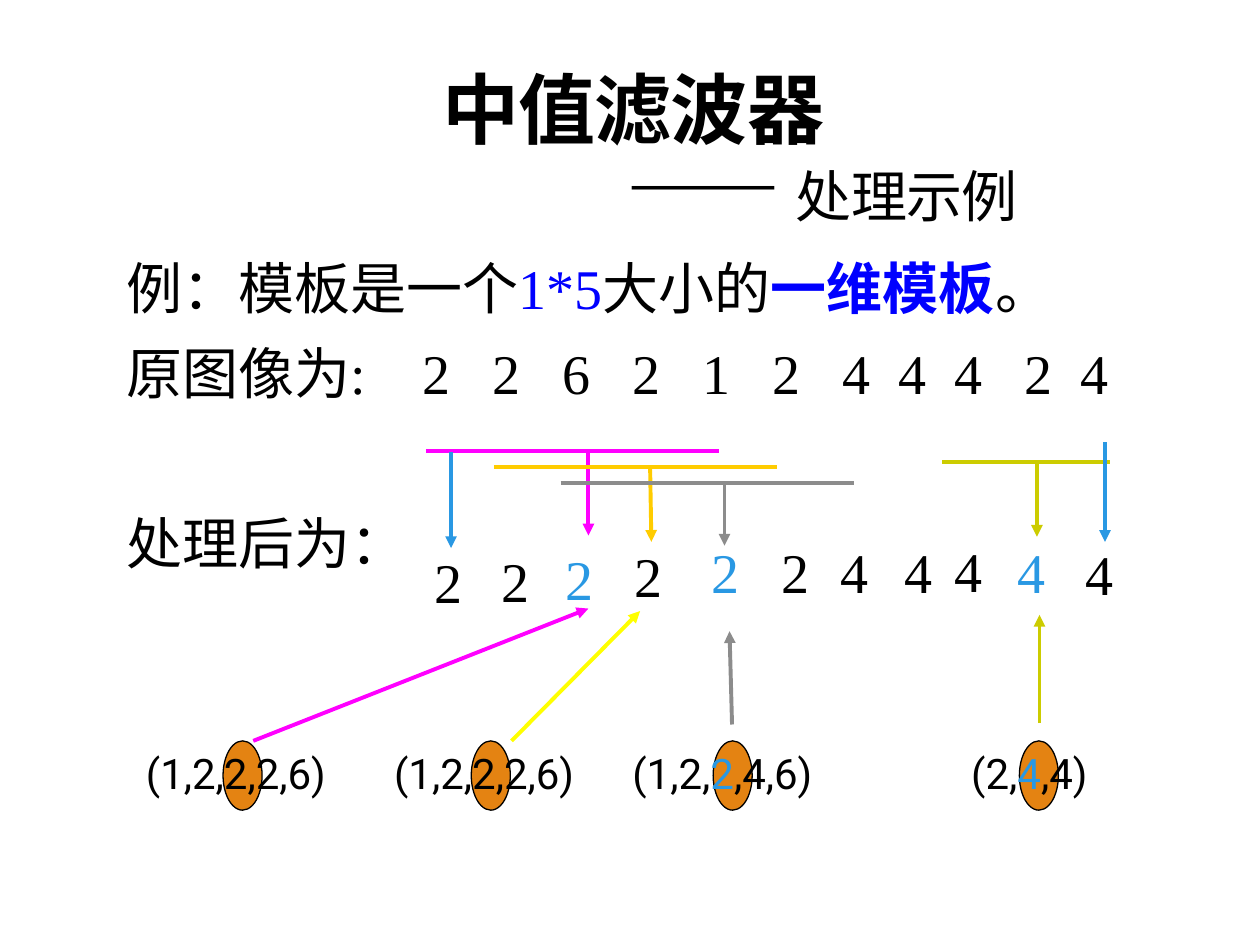
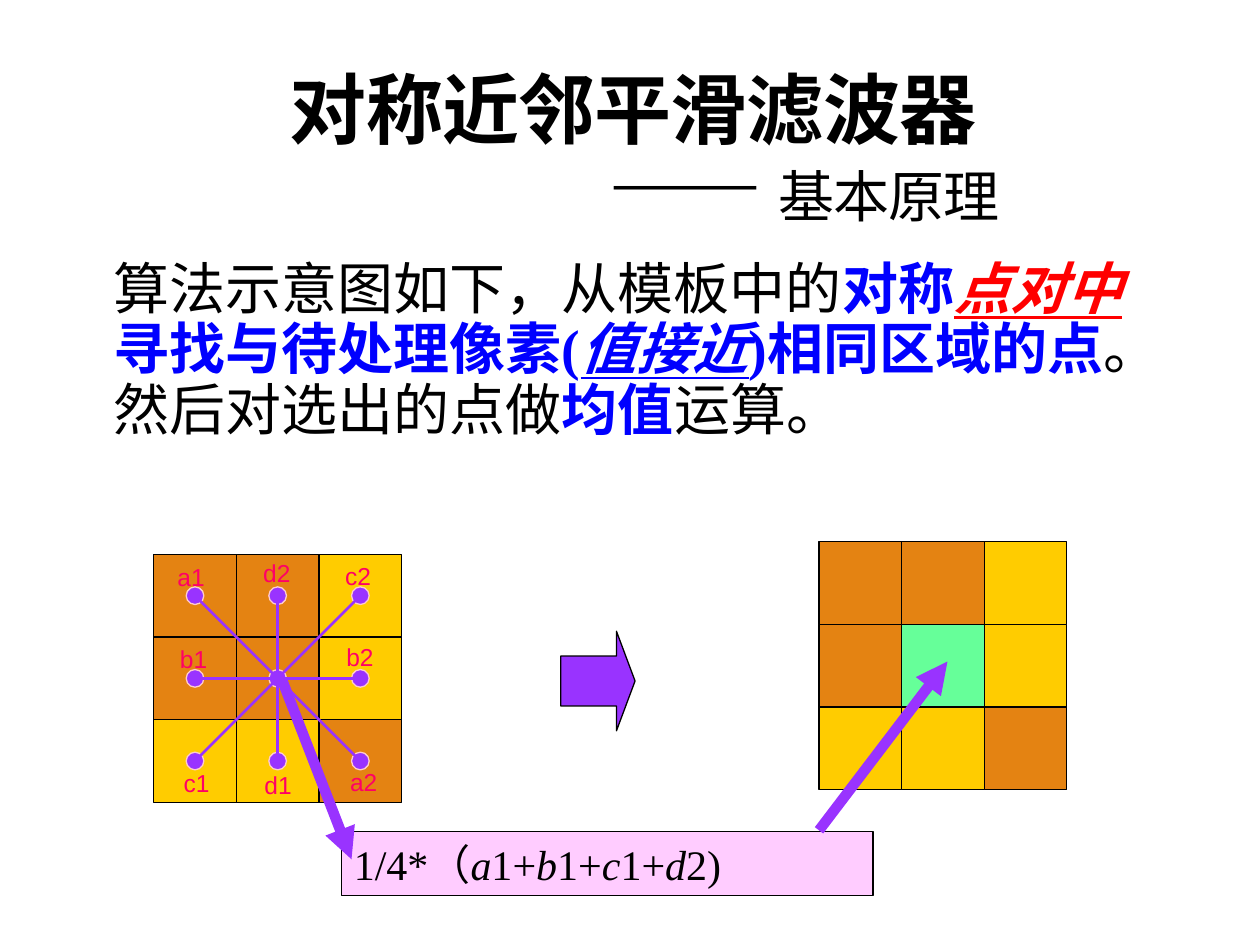
"""Build two slides on the median filter and the symmetric nearest-neighbour filter."""
from dataclasses import dataclass
from itertools import accumulate
from typing import NamedTuple

from lxml.etree import SubElement
from pptx import Presentation
from pptx.dml.color import RGBColor
from pptx.enum.shapes import MSO_CONNECTOR, MSO_SHAPE
from pptx.enum.text import MSO_ANCHOR, PP_ALIGN
from pptx.oxml.ns import qn
from pptx.util import Inches, Length, Pt

COLORS = {
    "black": "000000", "blue": "0000FF", "red": "FF0000", "orange": "E48312",
    "magenta": "FF00FF", "gold": "FFCC00", "yellow": "FFFF00", "gray": "8C8C8C",
    "sky": "2998E3", "olive": "CCCC00", "purple": "9933FF", "pink": "FFCCFF",
    "blush": "FFCCCC", "green": "66FF99", "rose": "FF0066",
}
COLUMNS, ROWS = 100, 75
SERIF, SANS, LABEL = "Times New Roman", "Roboto", "Arial"
MATRIX_CELL = 6.56


class Area(NamedTuple):
    left: float
    top: float
    width: float
    height: float


class Point(NamedTuple):
    x: float
    y: float


@dataclass(frozen=True)
class Span:
    text: str
    color: str = "black"
    bold: bool = False
    italic: bool = False
    underline: bool = False


@dataclass(frozen=True)
class Line:
    start: Point
    end: Point
    color: str
    width: float = 2.25
    arrow: bool = True


@dataclass(frozen=True)
class Window:
    left: float
    right: float
    row: float
    color: str
    stem_start: Point
    stem_end: Point


@dataclass(frozen=True)
class SortedSet:
    area: Area
    oval_left: float
    spans: tuple[Span, ...]


@dataclass(frozen=True)
class Place:
    text: str
    left: float
    top: float
    color: str = "black"


TITLE = Area(9, 3.1, 82.5, 15.9)
BODY = Area(9, 20.2, 82.5, 44)

WINDOWS = [
    Window(33.8, 57.1, 35.8, "magenta", Point(46.7, 35.8), Point(46.7, 42.5)),
    Window(39.2, 61.7, 37.1, "gold", Point(51.6, 37.2), Point(51.7, 43)),
    Window(44.5, 67.8, 38.3, "gray", Point(57.5, 38.3), Point(57.5, 43.3)),
    Window(74.8, 88.1, 36.7, "olive", Point(82.3, 36.7), Point(82.3, 42.6)),
]
ARROWS = [
    Line(Point(20.1, 58.8), Point(46.7, 48.3), "magenta"),
    Line(Point(40.6, 58.8), Point(50.8, 48.5), "yellow"),
    Line(Point(58.1, 57.5), Point(57.9, 50.1), "gray"),
    Line(Point(82.5, 57.4), Point(82.5, 48.8), "olive"),
    Line(Point(35.8, 35.9), Point(35.8, 43.5), "sky"),
    Line(Point(87.7, 35.1), Point(87.7, 43), "sky"),
]
RESULTS = [
    Place("2", 33.5, 43), Place("2", 38.8, 42.9), Place("2", 43.9, 42.7, "sky"),
    Place("2", 49.4, 42.5), Place("2", 55.5, 42.2, "sky"), Place("2", 61, 42.2),
    Place("4", 65.7, 42.2), Place("4", 70.8, 42.2), Place("4", 74.8, 42.1),
    Place("4", 79.8, 42.2, "sky"), Place("4", 85.2, 42.3),
]
SORTED_SETS = [
    SortedSet(Area(10.6, 58.8, 18.9, 5), 17.7, (Span("(1,2,2,2,6)"),)),
    SortedSet(Area(30.3, 58.8, 18.9, 5), 37.4, (Span("(1,2,2,2,6)"),)),
    SortedSet(Area(49.2, 58.8, 18.9, 5), 56.6,
              (Span("(1,2,"), Span("2", "sky"), Span(",4,6)"))),
    SortedSet(Area(76.1, 58.8, 13.4, 5), 80.9,
              (Span("(2,"), Span("4", "sky"), Span(",4)"))),
]
PAIR_LABELS = [
    Place("a1", 13.1, 44.1), Place("a2", 26.8, 60.4), Place("b1", 13.3, 50.6),
    Place("b2", 26.5, 50.5), Place("c1", 13.6, 60.5), Place("c2", 26.4, 44),
    Place("d1", 20, 60.6), Place("d2", 19.9, 43.8),
]
MATRIX_COLORS = {"O": "orange", "Y": "gold", "G": "green"}


def grid(units: float) -> Length:
    """Turn grid columns or rows into a length."""
    return Inches(units * 10 / COLUMNS)


def rgb(name: str) -> RGBColor:
    """Look up a named colour."""
    return RGBColor.from_string(COLORS[name])


def add_span(para, text: str, *, size: float = 32, font: str = SERIF, color: str = "black",
             bold: bool = False, italic: bool = False, underline: bool = False,
             spacing: int = 0) -> None:
    """Append formatted text to a paragraph."""
    run = para.add_run()
    run.text = text
    run.font.size = Pt(size)
    run.font.name = font
    run.font.color.rgb = rgb(color)
    run.font.bold, run.font.italic, run.font.underline = bold, italic, underline
    if spacing:
        run.font._element.set("spc", str(spacing))


def add_spans(para, spans, *, size: float = 32, font: str = SERIF) -> None:
    """Append a sequence of spans in one font and size."""
    for span in spans:
        add_span(para, span.text, size=size, font=font, color=span.color, bold=span.bold,
                 italic=span.italic, underline=span.underline)


def add_box(page, area: Area, *, side_inset: float = 1):
    """Add a wrapping text box and return its text frame."""
    frame = page.shapes.add_textbox(*map(grid, area)).text_frame
    frame.word_wrap = True
    frame.margin_left = frame.margin_right = grid(side_inset)
    return frame


def add_title(page, title: str, subtitle: str, indent: float) -> None:
    """Add the centred title and the indented subtitle after a dash."""
    frame = add_box(page, TITLE)
    frame.vertical_anchor = MSO_ANCHOR.BOTTOM
    heading, second = frame.paragraphs[0], frame.add_paragraph()
    heading.alignment, second.alignment = PP_ALIGN.CENTER, PP_ALIGN.LEFT
    second._p.get_or_add_pPr().set("marL", str(grid(indent)))
    heading.line_spacing = second.line_spacing = 0.85
    add_span(heading, title, size=44, bold=True, spacing=-50)
    add_span(second, "—— ", size=44, bold=True, spacing=-50)
    add_span(second, subtitle, spacing=-50)


def add_figure(page, kind, area: Area, fill: str, line: str = "black"):
    """Add a filled and outlined preset shape."""
    shape = page.shapes.add_shape(kind, *map(grid, area))
    shape.shadow.inherit = False
    shape.fill.solid()
    shape.fill.fore_color.rgb = rgb(fill)
    shape.line.color.rgb = rgb(line)
    shape.line.width = Pt(0.75)
    return shape


def add_line(page, line: Line) -> None:
    """Add a straight line, with an arrowhead where asked."""
    connector = page.shapes.add_connector(
        MSO_CONNECTOR.STRAIGHT, *map(grid, (*line.start, *line.end)))
    connector.line.color.rgb = rgb(line.color)
    connector.line.width = Pt(line.width)
    if line.arrow:
        SubElement(connector.line._get_or_add_ln(), qn("a:tailEnd"), type="triangle")
    SubElement(connector._element.spPr, qn("a:effectLst"))


def add_tabs(para, stops) -> None:
    """Set left tab stops on a paragraph."""
    tabs = SubElement(para._p.get_or_add_pPr(), qn("a:tabLst"))
    for stop in stops:
        SubElement(tabs, qn("a:tab"), pos=str(grid(stop)), algn="l")


def add_matrix(page, left: float, top: float, pattern: tuple[str, ...]) -> None:
    """Add a square of coloured cells."""
    for row, codes in enumerate(pattern):
        for column, code in enumerate(codes):
            area = Area(left + column * MATRIX_CELL, top + row * MATRIX_CELL,
                        MATRIX_CELL, MATRIX_CELL)
            add_figure(page, MSO_SHAPE.RECTANGLE, area, MATRIX_COLORS[code])


def build_median(page) -> None:
    """Build the worked example of the median filter."""
    add_title(page, "中值滤波器", "处理示例", 39.7)
    frame = add_box(page, BODY._replace(left=BODY.left + 1, width=BODY.width - 1), side_inset=0)
    template, source, result = (frame.paragraphs[0], frame.add_paragraph(),
                                frame.add_paragraph())
    gaps = (3, 3, 3, 3, 3, 3, 2, 2, 3, 2)
    add_tabs(source, accumulate(((2 + gap) / 0.9 for gap in gaps), initial=23.5))
    for para in (template, source, result):
        para.line_spacing = 0.9
        para.space_after = Pt(2)
    source.space_before, result.space_before = Pt(12), Pt(60.5)
    add_spans(template, (Span("例：模板是一个"), Span("1*5", "blue"), Span("大小的"),
                         Span("一维模板", "blue", bold=True), Span("。")))
    add_span(source, "\t".join(("原图像为:", *"22621244424")))
    add_span(result, "处理后为：")

    for window in WINDOWS:
        add_line(page, Line(Point(window.left, window.row), Point(window.right, window.row),
                            window.color, arrow=False))
        add_line(page, Line(window.stem_start, window.stem_end, window.color))
    for arrow in ARROWS:
        add_line(page, arrow)
    for digit in RESULTS:
        para = add_box(page, Area(digit.left, digit.top, 5.5, 6.3)).paragraphs[0]
        add_span(para, digit.text, color=digit.color)
    for group in SORTED_SETS:
        add_figure(page, MSO_SHAPE.OVAL, Area(group.oval_left, 58.8, 3.1, 5.5), "orange")
        add_spans(add_box(page, group.area).paragraphs[0], group.spans, size=24, font=SANS)


def build_symmetric(page) -> None:
    """Build the principle of the symmetric nearest-neighbour filter."""
    add_title(page, "对称近邻平滑滤波器", "基本原理", 38.3)
    para = add_box(page, BODY, side_inset=0).paragraphs[0]
    para.line_spacing = 0.9
    add_spans(para, (
        Span("算法示意图如下，从模板中的"), Span("对称", "blue", bold=True),
        Span("点对中", "red", bold=True, italic=True, underline=True),
        Span("寻找与待处理像素(", "blue", bold=True),
        Span("值接近", "blue", bold=True, italic=True, underline=True),
        Span(")相同区域的点", "blue", bold=True), Span("。然后对选出的点做"),
        Span("均值", "blue", bold=True), Span("运算。")))

    arrow = add_figure(page, MSO_SHAPE.RIGHT_ARROW, Area(44.5, 50.1, 5.9, 7.9), "purple")
    arrow.adjustments[0], arrow.adjustments[1] = 0.5, 0.25
    formula = add_figure(page, MSO_SHAPE.RECTANGLE, Area(27.1, 66, 42.2, 5.1), "pink")
    formula_para = formula.text_frame.paragraphs[0]
    formula_para.alignment = PP_ALIGN.LEFT
    add_span(formula_para, "1/4*（", size=24)
    for letter, rest in (("a", "1+"), ("b", "1+"), ("c", "1+"), ("d", "2)")):
        add_spans(formula_para, (Span(letter, italic=True), Span(rest)), size=24)

    left, top = 12.2, 44
    add_matrix(page, left, top, ("OOY", "OOY", "YYO"))
    centers = [Point(left + (column + 0.5) * MATRIX_CELL, top + (row + 0.5) * MATRIX_CELL)
               for row in range(3) for column in range(3)]
    for center in centers:
        add_figure(page, MSO_SHAPE.OVAL, Area(center.x - 0.7, center.y - 0.7, 1.4, 1.4),
                   "purple", "blush")
    for start, end in zip(centers[:4], reversed(centers)):
        add_line(page, Line(start, end, "purple", 1.5, arrow=False))
    for label in PAIR_LABELS:
        para = add_box(page, Area(label.left, label.top, 5.5, 3.3)).paragraphs[0]
        add_span(para, label.text, size=14, font=LABEL, color="rose")

    add_matrix(page, 65, 43, ("OOY", "OGY", "YYO"))
    add_line(page, Line(Point(65, 65.9), Point(75.2, 52.5), "purple", 6))
    add_line(page, Line(Point(22.4, 54), Point(27.9, 68.2), "purple", 6))


def main() -> None:
    """Create the deck and save it."""
    deck = Presentation()
    deck.slide_width, deck.slide_height = grid(COLUMNS), grid(ROWS)
    for build in (build_median, build_symmetric):
        build(deck.slides.add_slide(deck.slide_layouts[6]))
    deck.save("out.pptx")


if __name__ == "__main__":
    main()
